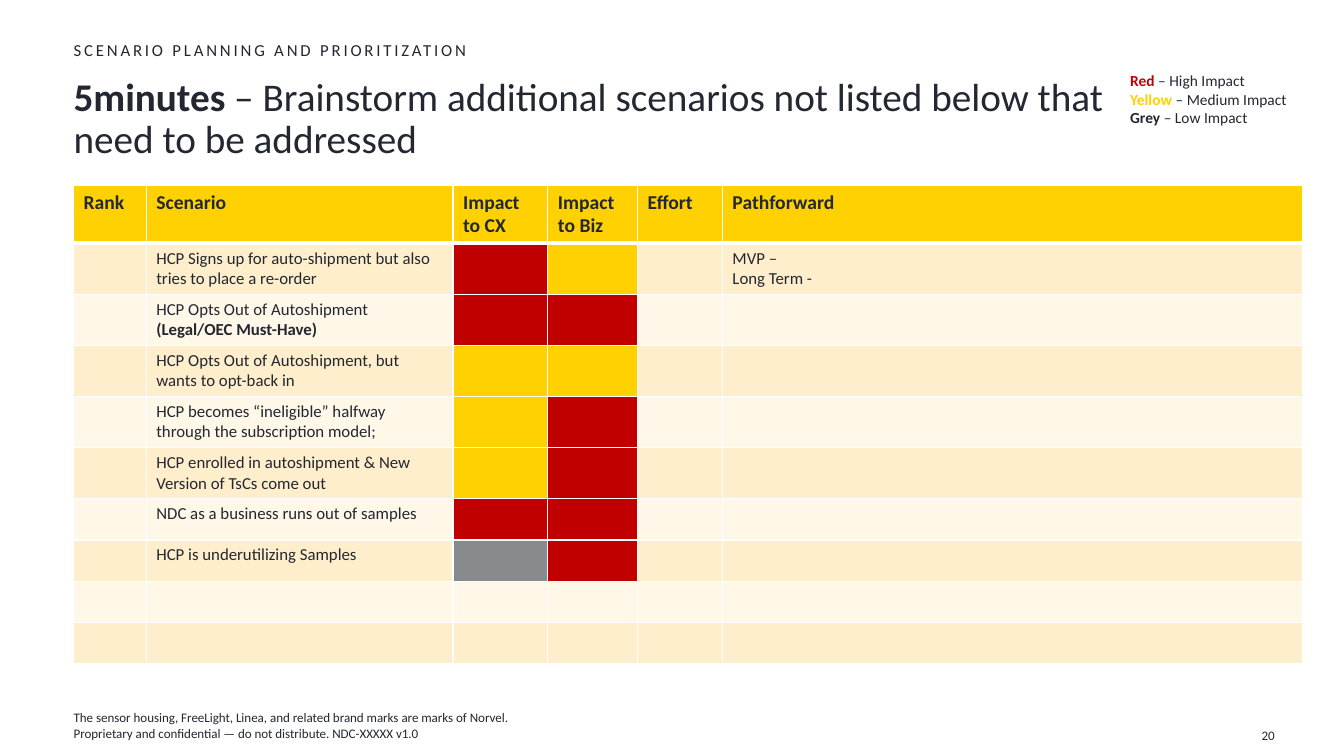
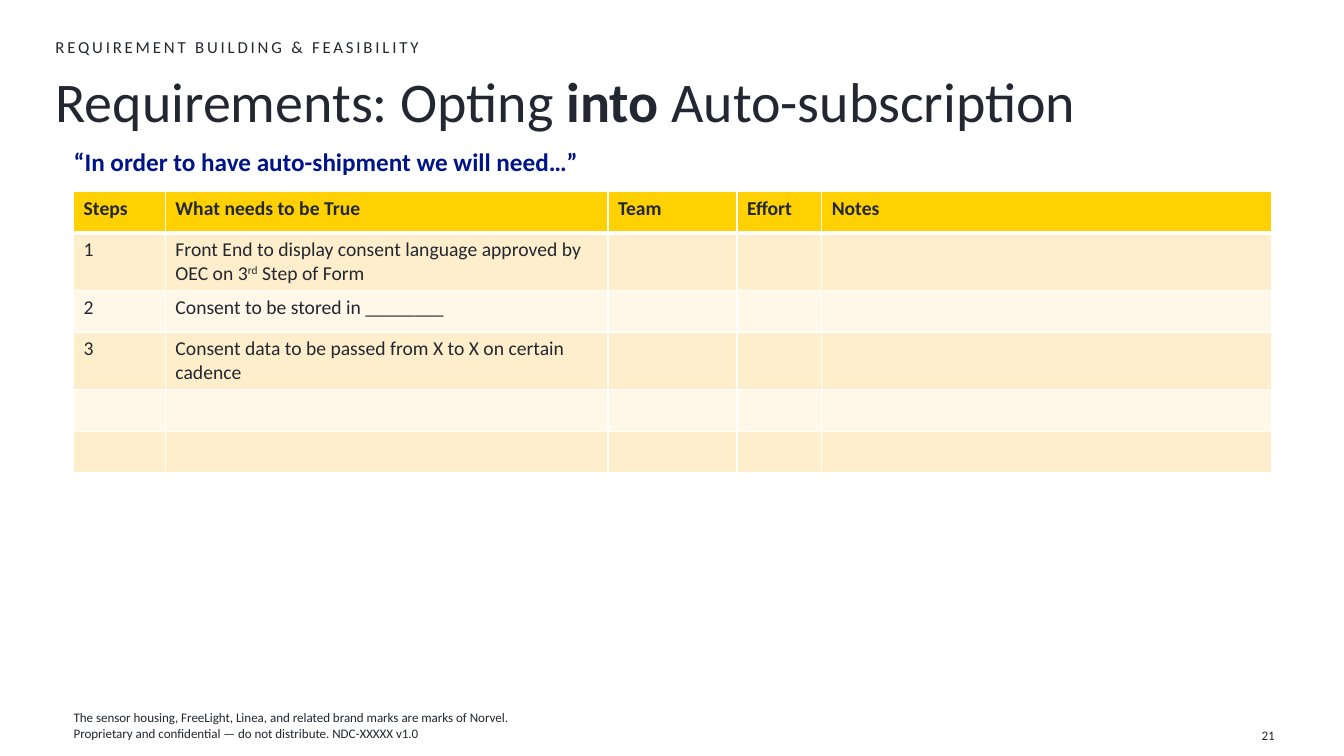
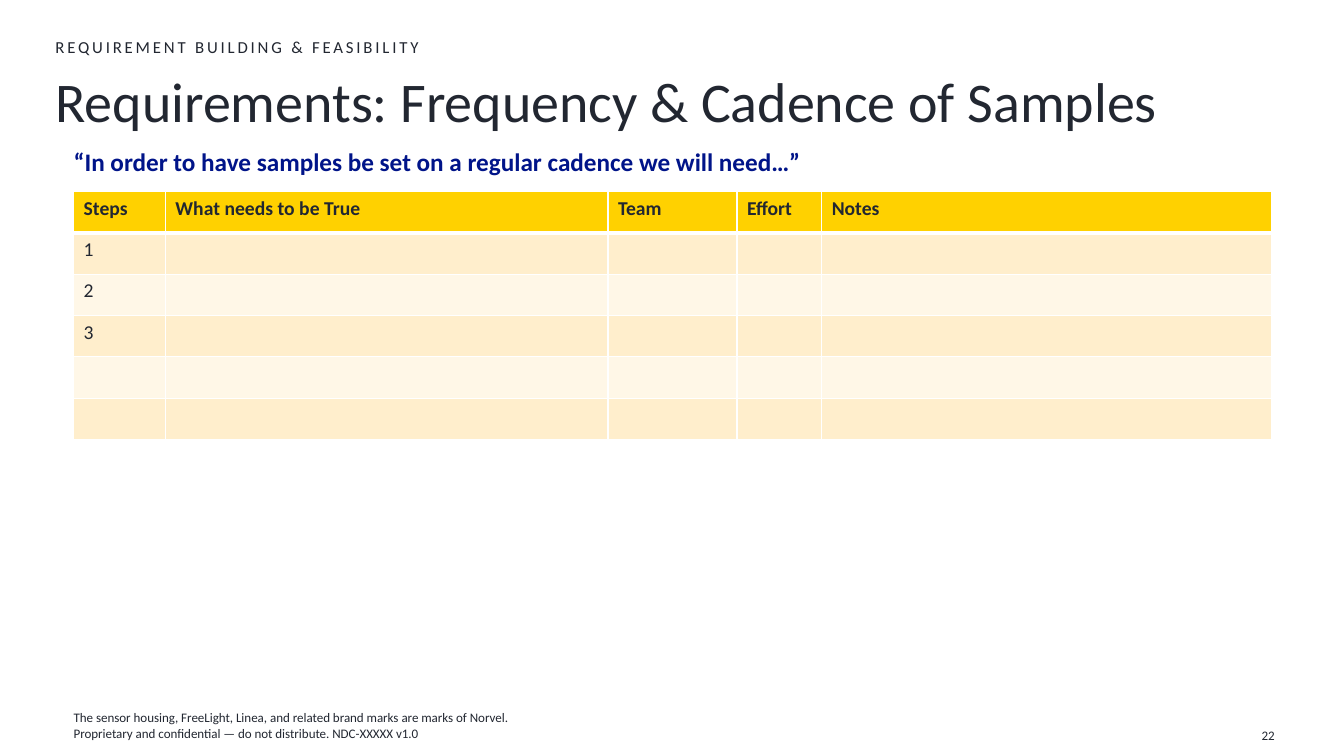
from lxml.etree import SubElement
from pptx import Presentation
from pptx.dml.color import RGBColor
from pptx.enum.text import MSO_ANCHOR as Anchor, MSO_AUTO_SIZE as AutoSize, PP_ALIGN as Align
from pptx.oxml.ns import qn
from pptx.util import Emu, Inches, Pt

COLORS = {
    "ink": "222731", "navy": "001489", "white": "FFFFFF",
    "red": "C00000", "yellow": "FFD100", "grey": "888B8D",
    "band_dark": "FFEECC", "band_light": "FFF7E7",
}
FONT = "Calibri"
SLIDE_W, SLIDE_H = Inches(13.33), Inches(7.5)
MARGIN = 5.48
ROW_H = 5.47
FOOTER_BOX = (MARGIN, 92.53, 41.71, 5.47)
NUMBER_BOX = (91, 93.6, 4.58, 5.33)
LEGEND_BOX = (83.35, 8.8, 16.5, 8.8)
PROMPT_BOX = (MARGIN, 18.67, 60.54, 5.33)

FOOTER = [
    ["The sensor housing, FreeLight, Linea, and related brand marks are marks of Norvel."],
    ["Proprietary and confidential — do not distribute. NDC-XXXXX v1.0"],
]
LEGEND = [
    [("Red", {"bold": True, "color": "red"}), " – High Impact"],
    [("Yellow", {"bold": True, "color": "yellow"}), " – Medium Impact"],
    [("Grey", {"bold": True}), " – Low Impact"],
]
SCENARIO_HEADS = ["Rank", "Scenario", "Impact to CX", "Impact to Biz", "Effort", "Pathforward"]
SCENARIO_COLS = [0.72, 3.04, 0.94, 0.89, 0.84, 5.75]
SCENARIOS = [
    (["HCP Signs up for auto-shipment but also tries to place a re-order"], "red", "yellow"),
    (["HCP Opts Out of Autoshipment ", ("(Legal/OEC Must-Have)", {"bold": True})], "red", "red"),
    (["HCP Opts Out of Autoshipment, but wants to opt-back in"], "yellow", "yellow"),
    (["HCP becomes “ineligible” halfway through the subscription model;"], "yellow", "red"),
    (["HCP enrolled in autoshipment & New Version of TsCs come out"], "yellow", "red"),
    (["NDC as a business runs out of samples"], "red", "red"),
    (["HCP is underutilizing Samples"], "grey", "red"),
]
PATHFORWARD = [["MVP –"], ["Long Term -"]]
STEP_HEADS = ["Steps", "What needs to be True", "Team", "Effort", "Notes"]
STEP_COLS = [0.91, 4.39, 1.28, 0.84, 4.46]
STEP_ROWS = 5
STEP_NUMBERS = 3
CONSENT_NEEDS = [
    ["Front End to display consent language approved by OEC on 3",
     ("rd", {"baseline": 30000}), " Step of Form"],
    ["Consent to be stored in ________"],
    ["Consent data to be passed from X to X on certain cadence"],
]


def rgb(name):
    return RGBColor.from_string(COLORS[name])


def shares(box):
    left, top, width, height = box
    return (Emu(round(SLIDE_W * left / 100)), Emu(round(SLIDE_H * top / 100)),
            Emu(round(SLIDE_W * width / 100)), Emu(round(SLIDE_H * height / 100)))


def add_run(paragraph, text, size, color="ink", bold=False, spacing=None, baseline=None):
    run = paragraph.add_run()
    run.text = text
    run.font.name, run.font.size, run.font.bold = FONT, Pt(size), bold
    run.font.color.rgb = rgb(color)
    for key, value in (("spc", spacing), ("baseline", baseline)):
        if value is not None:
            run.font._element.set(key, str(value))


def write(frame, paragraphs, align=Align.LEFT, line_spacing=None, **style):
    for index, runs in enumerate(paragraphs):
        paragraph = frame.add_paragraph() if index else frame.paragraphs[0]
        paragraph.alignment = align
        paragraph.space_before = Pt(0)
        if line_spacing:
            paragraph.line_spacing = line_spacing
        for run in runs:
            text, own = (run, {}) if isinstance(run, str) else run
            add_run(paragraph, text, **{**style, **own})


def set_frame(frame, insets, anchor=Anchor.TOP):
    frame.word_wrap = True
    frame.auto_size = AutoSize.NONE
    frame.vertical_anchor = anchor
    (frame.margin_left, frame.margin_top,
     frame.margin_right, frame.margin_bottom) = map(Inches, insets)


def add_text(slide, box, paragraphs, insets=(0, 0.05, 0.1, 0.05), anchor=Anchor.TOP, **style):
    frame = slide.shapes.add_textbox(*shares(box)).text_frame
    set_frame(frame, insets, anchor)
    write(frame, paragraphs, **style)


def fill_placeholder(holder, box, runs, **style):
    holder.left, holder.top, holder.width, holder.height = shares(box)
    set_frame(holder.text_frame, (0, 0, 0.1, 0.05))
    write(holder.text_frame, [runs], **style)


def add_page(deck, number, kicker, title, title_size, left, top, title_width):
    slide = deck.slides.add_slide(deck.slide_layouts[1])
    kicker_holder = slide.placeholders[1]
    fill_placeholder(kicker_holder, (left, top, 57.31, 5.07), [kicker], size=12, spacing=200)
    props = kicker_holder.text_frame.paragraphs[0]._p.get_or_add_pPr()
    props.set("marL", "0")
    props.set("indent", "0")
    SubElement(props, qn("a:buNone"))
    fill_placeholder(slide.shapes.title, (left, top + 5.07, title_width, 7.6), title,
                     size=title_size, line_spacing=0.9)
    add_text(slide, FOOTER_BOX, FOOTER, (0, 0, 0, 0), Anchor.BOTTOM, size=9.3)
    add_text(slide, NUMBER_BOX, [[str(number)]], anchor=Anchor.BOTTOM,
             align=Align.RIGHT, size=9.3)
    return slide


def set_borders(cell, top, bottom):
    props = cell._tc.get_or_add_tcPr()
    for side, points in (("L", 1), ("R", 1), ("T", top), ("B", bottom)):
        line = SubElement(props, qn(f"a:ln{side}"), w=str(Pt(points)))
        paint = SubElement(line, qn("a:solidFill"))
        SubElement(paint, qn("a:srgbClr"), val=COLORS["white"])


def add_grid(slide, left, top, width, heads, weights, row_count, texts, ratings, size):
    x, y, w, row_h = shares((left, top, width, ROW_H))
    table = slide.shapes.add_table(row_count + 1, len(heads), x, y, w,
                                   row_h * (row_count + 1)).table
    for column, weight in zip(table.columns, weights):
        column.width = Emu(round(w * weight / sum(weights)))
    for r, row in enumerate(table.rows):
        row.height = row_h
        band = "band_dark" if r % 2 else "band_light"
        for c, cell in enumerate(row.cells):
            set_borders(cell, 3 if r == 1 else 1, 1 if r else 3)
            cell.fill.solid()
            cell.fill.fore_color.rgb = rgb(ratings.get((r, c), band) if r else "yellow")
            if r == 0:
                write(cell.text_frame, [[heads[c]]], size=14, bold=True)
            elif (r, c) in texts:
                write(cell.text_frame, texts[r, c], size=size)


def add_scenario_page(deck, number):
    title = [("5minutes ", {"bold": True}),
             "– Brainstorm additional scenarios not listed below that need to be addressed"]
    slide = add_page(deck, number, "SCENARIO PLANNING AND PRIORITIZATION", title, 28,
                     MARGIN, 5.2, 77.87)
    texts, ratings = {(1, 5): PATHFORWARD}, {}
    for r, (scenario, cx, biz) in enumerate(SCENARIOS, 1):
        texts[r, 1] = [scenario]
        ratings[r, 2], ratings[r, 3] = cx, biz
    add_grid(slide, MARGIN, 24.53, 91.45, SCENARIO_HEADS, SCENARIO_COLS, 9, texts, ratings, 12)
    add_text(slide, LEGEND_BOX, LEGEND, (0.1, 0.05, 0.1, 0.05), size=11)


def add_requirement_page(deck, number, title, prompt, needs):
    slide = add_page(deck, number, "REQUIREMENT BUILDING & FEASIBILITY", title, 40,
                     4.13, 4.8, 89.05)
    texts = {(r, 0): [[str(r)]] for r in range(1, STEP_NUMBERS + 1)}
    texts.update({(r, 1): [need] for r, need in enumerate(needs, 1)})
    add_grid(slide, MARGIN, 25.33, 89.12, STEP_HEADS, STEP_COLS, STEP_ROWS, texts, {}, 14)
    add_text(slide, PROMPT_BOX, [[prompt]], size=18, color="navy", bold=True)


def main():
    deck = Presentation()
    deck.slide_width, deck.slide_height = SLIDE_W, SLIDE_H
    add_scenario_page(deck, 20)
    add_requirement_page(
        deck, 21, ["Requirements: Opting ", ("into", {"bold": True}), " Auto-subscription"],
        "“In order to have auto-shipment we will need…”", CONSENT_NEEDS)
    add_requirement_page(
        deck, 22, ["Requirements: Frequency & Cadence of Samples"],
        "“In order to have samples be set on a regular cadence we will need…”", [])
    deck.save("out.pptx")


if __name__ == "__main__":
    main()
